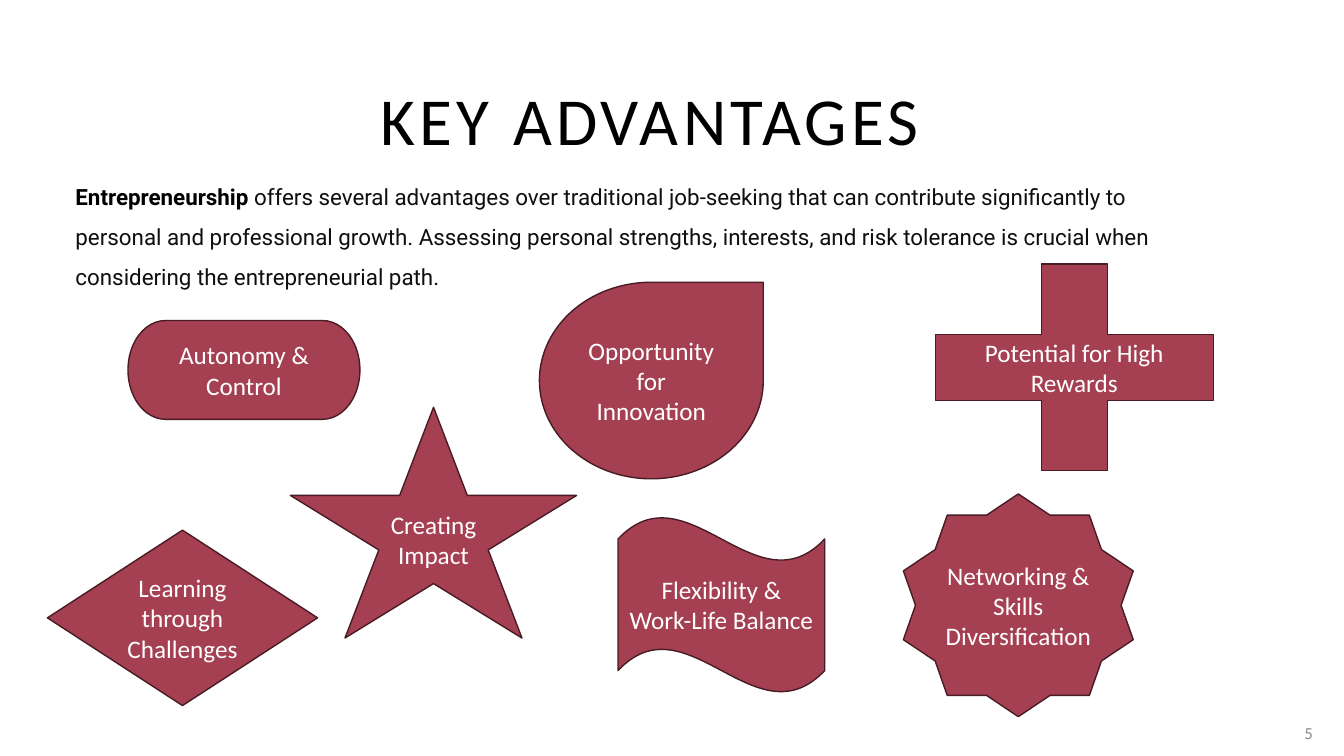
from pptx import Presentation
from pptx.dml.color import RGBColor
from pptx.enum.shapes import MSO_SHAPE
from pptx.enum.text import MSO_ANCHOR, PP_ALIGN
from pptx.util import Inches, Pt

LEFT, CENTER, RIGHT = PP_ALIGN.LEFT, PP_ALIGN.CENTER, PP_ALIGN.RIGHT
TOP, MIDDLE = MSO_ANCHOR.TOP, MSO_ANCHOR.MIDDLE

# Content
TITLE = "KEY ADVANTAGES "
INTRO_LEAD = "Entrepreneurship "
INTRO_REST = (
    "offers several advantages over traditional job-seeking that can contribute "
    "significantly to personal and professional growth. Assessing personal strengths, "
    "interests, and risk tolerance is crucial when considering the entrepreneurial path."
)
PAGE_NUMBER = "5"

# Text, preset shape, (left, top, width, height) in inches
ADVANTAGES = [
    ("Learning through Challenges", MSO_SHAPE.DIAMOND, (0.47, 5.26, 2.68, 1.74)),
    ("Opportunity for Innovation", MSO_SHAPE.TEAR, (5.35, 2.8, 2.22, 1.95)),
    ("Networking & Skills Diversification ", MSO_SHAPE.STAR_10_POINT, (8.96, 4.9, 2.28, 2.21)),
    ("Potential for High Rewards", MSO_SHAPE.MATH_PLUS, (8.78, 2.25, 3.75, 2.79)),
    ("Creating Impact", MSO_SHAPE.STAR_5_POINT, (2.88, 4.04, 2.84, 2.29)),
    ("Autonomy & Control", MSO_SHAPE.FLOWCHART_TERMINATOR, (1.27, 3.18, 2.3, 0.98)),
    ("Flexibility & Work-Life Balance", MSO_SHAPE.WAVE, (6.13, 5.13, 2.05, 1.74)),
]

THEME = {
    "font": "Calibri", "intro_font": "Roboto",
    "title": "000000", "intro": "0F0F0F", "number": "8C8C8C",
    "fill": "A53F52", "line": "481C24", "label": "FFFFFF",
    "title_size": 48, "intro_size": 16, "label_size": 18, "number_size": 12,
}


def color(name):
    return RGBColor.from_string(THEME[name])


def style(p, family, size, ink, align):
    p.alignment = align
    p.font.name = THEME[family]
    p.font.size = Pt(THEME[size])
    p.font.color.rgb = color(ink)


def add_text(slide, box, text, family, size, ink, align, anchor):
    tf = slide.shapes.add_textbox(*map(Inches, box)).text_frame
    tf.word_wrap = True
    tf.vertical_anchor = anchor
    p = tf.paragraphs[0]
    r = p.add_run()
    r.text = text
    style(p, family, size, ink, align)
    return p


def add_advantage(slide, text, preset, box):
    sp = slide.shapes.add_shape(preset, *map(Inches, box))
    sp.shadow.inherit = False
    sp.fill.solid()
    sp.fill.fore_color.rgb = color("fill")
    sp.line.color.rgb = color("line")
    sp.line.width = Pt(1)
    tf = sp.text_frame
    tf.word_wrap = True
    tf.vertical_anchor = MIDDLE
    p = tf.paragraphs[0]
    p.text = text
    style(p, "font", "label_size", "label", CENTER)


def main():
    prs = Presentation()
    prs.slide_width, prs.slide_height = Inches(13.33), Inches(7.5)
    slide = prs.slides.add_slide(prs.slide_layouts[6])

    # Title with wide letter spacing
    p = add_text(slide, (0.53, 0.73, 12.03, 0.9), TITLE,
                 "font", "title_size", "title", CENTER, MIDDLE)
    p.runs[0].font._element.set("spc", "300")

    # Page number
    add_text(slide, (12.63, 7.07, 0.49, 0.4), PAGE_NUMBER,
             "font", "number_size", "number", RIGHT, MIDDLE)

    # Introduction with a bold lead
    p = add_text(slide, (0.65, 1.63, 10.95, 4.65), INTRO_LEAD,
                 "intro_font", "intro_size", "intro", LEFT, TOP)
    p.line_spacing = 1.5
    p.space_before = Pt(10)
    p.runs[0].font.bold = True
    p.runs[0].font.color.rgb = color("title")
    p.add_run().text = INTRO_REST

    # Advantages
    for text, preset, box in ADVANTAGES:
        add_advantage(slide, text, preset, box)

    prs.save("out.pptx")


if __name__ == "__main__":
    main()
